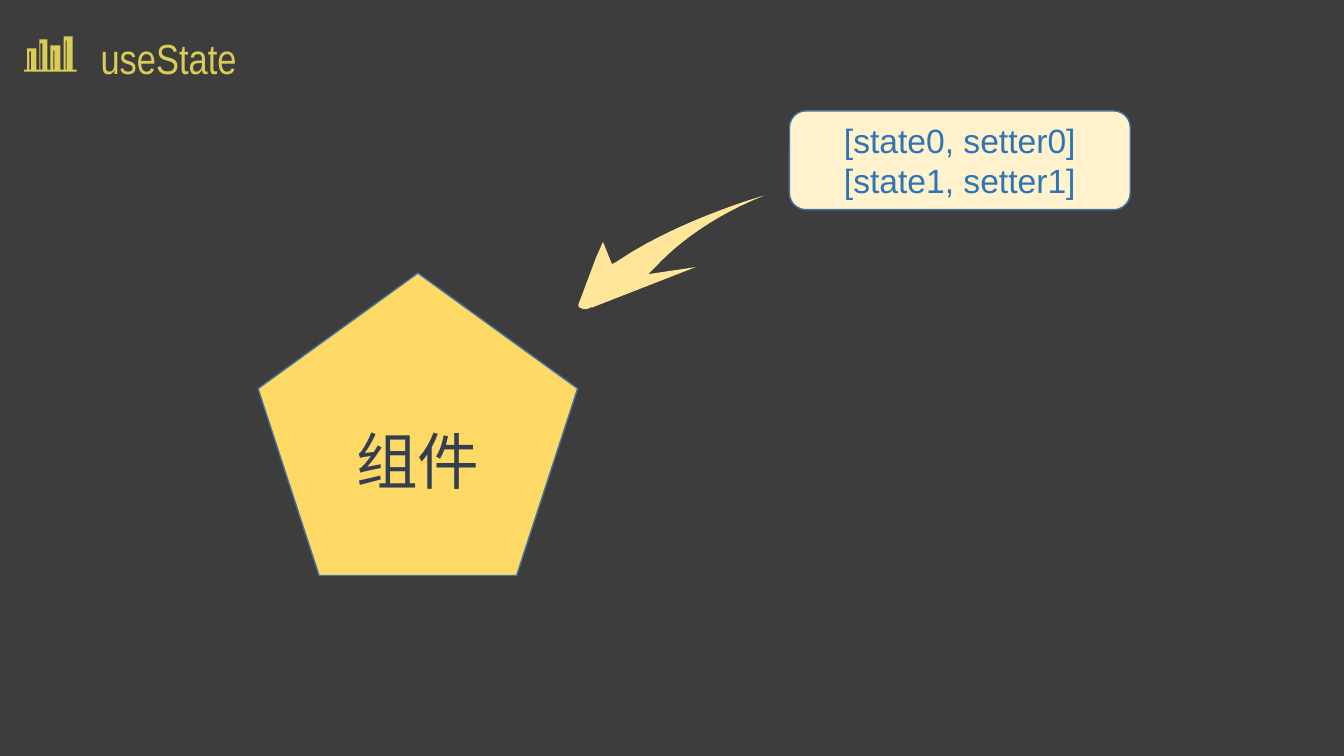
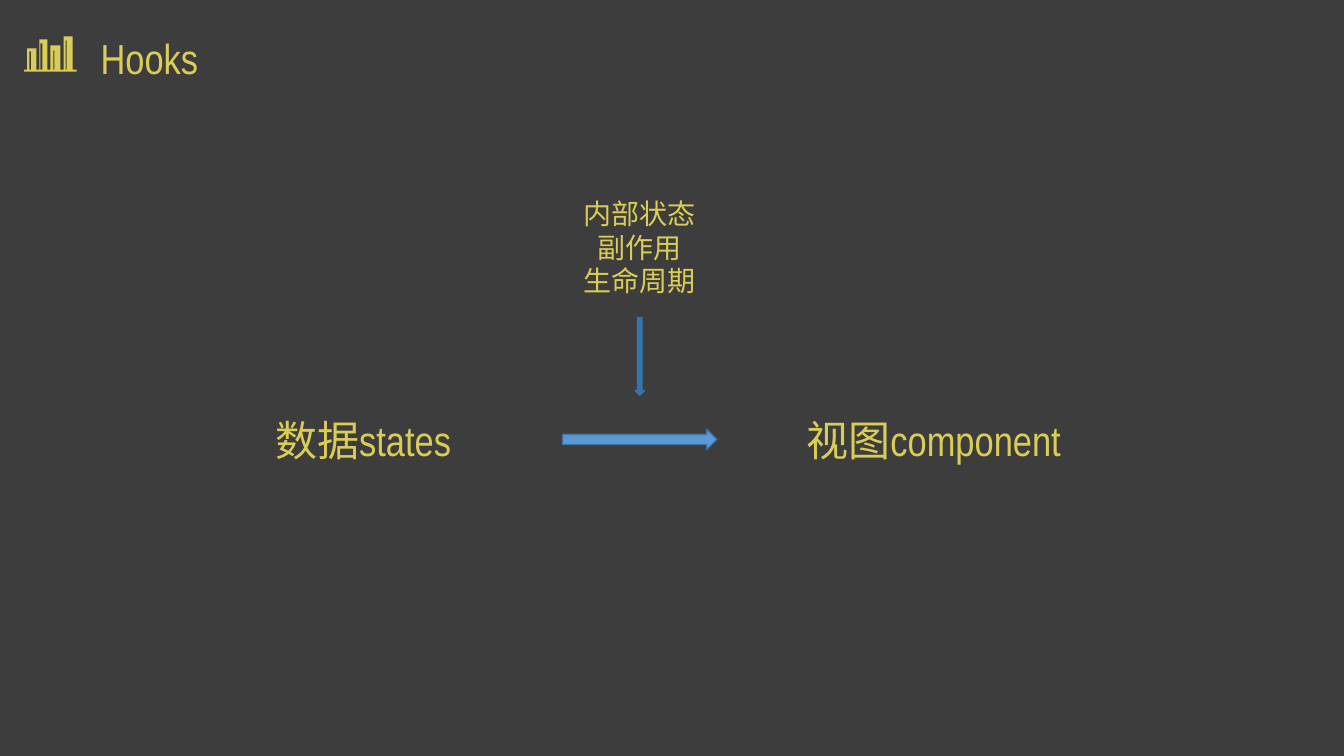
from pptx import Presentation
from pptx.dml.color import RGBColor
from pptx.enum.shapes import MSO_SHAPE
from pptx.enum.text import MSO_ANCHOR, MSO_AUTO_SIZE, PP_ALIGN
from pptx.util import Pt

PX = 9144  # 100 px to the inch
SLIDE_WIDTH, SLIDE_HEIGHT = 1333, 750
CURVE_STEPS = 12

CHARCOAL = RGBColor(0x3D, 0x3D, 0x3D)
YELLOW = RGBColor(0xDA, 0xCD, 0x57)
GOLD = RGBColor(0xFF, 0xD9, 0x66)
PALE_GOLD = RGBColor(0xFF, 0xE6, 0x99)
CREAM = RGBColor(0xFF, 0xF2, 0xCC)
SLATE = RGBColor(0x33, 0x3F, 0x50)
BLUE = RGBColor(0x2E, 0x75, 0xB6)
LIGHT_BLUE = RGBColor(0x5B, 0x9B, 0xD5)
OUTLINE_BLUE = RGBColor(0x43, 0x73, 0x9E)

LEFT, CENTER = PP_ALIGN.LEFT, PP_ALIGN.CENTER
MIDDLE = MSO_ANCHOR.MIDDLE
GROW = MSO_AUTO_SIZE.SHAPE_TO_FIT_TEXT
PENTAGON = MSO_SHAPE.REGULAR_PENTAGON
ROUNDED = MSO_SHAPE.ROUNDED_RECTANGLE
RIGHT_ARROW, DOWN_ARROW = MSO_SHAPE.RIGHT_ARROW, MSO_SHAPE.DOWN_ARROW

# Towers of the skyline icon: left, right, top
TOWERS = [(27, 36, 48), (39, 47, 39), (50, 60, 45), (63, 72, 36)]
# Windows of the towers: left, right, top
WINDOWS = [(29, 31, 51), (40, 42, 43), (53, 54, 50), (65, 66, 40)]
ICON_LEFT, ICON_RIGHT, GROUND, ICON_BOTTOM = 24, 76, 69, 71

# One point is a straight line, three points are a cubic curve
SWOOSH_START = (584, 306)
SWOOSH = [
    [(581, 307), (579, 307), (577, 306)],
    [(574, 305), (573, 304), (574, 301)],
    [(576, 296)], [(591, 256)], [(598, 240)], [(607, 262)], [(611, 260)],
    [(668, 221), (747, 197), (758, 194)],
    [(710, 213), (673, 240), (650, 265)],
    [(643, 272)], [(690, 265)], [(590, 304)], [(588, 305)],
    [(587, 305), (585, 305), (584, 306)],
]

# Title, then text boxes, then shapes of each slide
SLIDES = [
    ("useState", [], [
        (PENTAGON, (256, 271, 317, 300), GOLD, ["组件"], 44, SLATE),
        (ROUNDED, (783, 110, 338, 98), CREAM,
         ["[state0, setter0]", "[state1, setter1]"], 24, BLUE),
    ]),
    ("Hooks", [
        ((263, 406, 240, 60), ["数据states"], 30, LEFT),
        ((790, 406, 332, 60), ["视图component"], 30, LEFT),
        ((514, 190, 240, 111), ["内部状态", "副作用", "生命周期"], 20, CENTER),
    ], [
        (RIGHT_ARROW, (558, 426, 153, 20), LIGHT_BLUE, [], 0, None),
        (DOWN_ARROW, (630, 315, 9, 77), BLUE, [], 0, None),
    ]),
]


def write_lines(frame, lines, font_name, size, color, align):
    for index, line in enumerate(lines):
        para = frame.add_paragraph() if index else frame.paragraphs[0]
        para.text = line
        para.alignment = align
        para.font.name = font_name
        para.font.size = Pt(size)
        para.font.color.rgb = color


def add_outline(slide, contours, color):
    """Fill closed contours of px points; inner contours become holes."""
    contours = [[(round(x * PX), round(y * PX)) for x, y in contour]
                for contour in contours]
    builder = slide.shapes.build_freeform(*contours[0][0])
    for index, contour in enumerate(contours):
        if index:
            builder.move_to(*contour[0])
        builder.add_line_segments(contour[1:], close=True)
    shape = builder.convert_to_shape()
    shape.shadow.inherit = False
    shape.fill.solid()
    shape.fill.fore_color.rgb = color
    shape.line.fill.background()


skyline = [(ICON_LEFT, ICON_BOTTOM), (ICON_LEFT, GROUND)]
for left, right, top in TOWERS:
    skyline += [(left, GROUND), (left, top), (right, top), (right, GROUND)]
skyline += [(ICON_RIGHT, GROUND), (ICON_RIGHT, ICON_BOTTOM)]
icon = [skyline]
for left, right, top in WINDOWS:
    icon.append([(left, GROUND), (right, GROUND), (right, top), (left, top)])

swoosh = [SWOOSH_START]
for segment in SWOOSH:
    if len(segment) == 1:
        swoosh += segment
        continue
    curve = [swoosh[-1], *segment]
    for step in range(1, CURVE_STEPS + 1):
        t = step / CURVE_STEPS
        weights = ((1 - t) ** 3, 3 * t * (1 - t) ** 2, 3 * t ** 2 * (1 - t), t ** 3)
        swoosh.append(tuple(sum(weight * point[axis] for weight, point in zip(weights, curve))
                            for axis in (0, 1)))

deck = Presentation()
deck.slide_width = SLIDE_WIDTH * PX
deck.slide_height = SLIDE_HEIGHT * PX
blank_layout = deck.slide_layouts[6]

for title, texts, shapes in SLIDES:
    slide = deck.slides.add_slide(blank_layout)
    slide.background.fill.solid()
    slide.background.fill.fore_color.rgb = CHARCOAL
    add_outline(slide, icon, YELLOW)

    for place, lines, size, align in [((90, 27, 600, 60), [title], 30, LEFT), *texts]:
        box = slide.shapes.add_textbox(*(length * PX for length in place))
        box.text_frame.word_wrap = True
        box.text_frame.auto_size = GROW
        write_lines(box.text_frame, lines, "Arial Narrow", size, YELLOW, align)

    for kind, place, fill, lines, size, color in shapes:
        shape = slide.shapes.add_shape(kind, *(length * PX for length in place))
        shape.shadow.inherit = False
        shape.fill.solid()
        shape.fill.fore_color.rgb = fill
        shape.line.color.rgb = OUTLINE_BLUE
        shape.line.width = Pt(1)
        shape.text_frame.vertical_anchor = MIDDLE
        write_lines(shape.text_frame, lines, "Arial", size, color, CENTER)

add_outline(deck.slides[0], [swoosh], PALE_GOLD)

deck.save("out.pptx")
